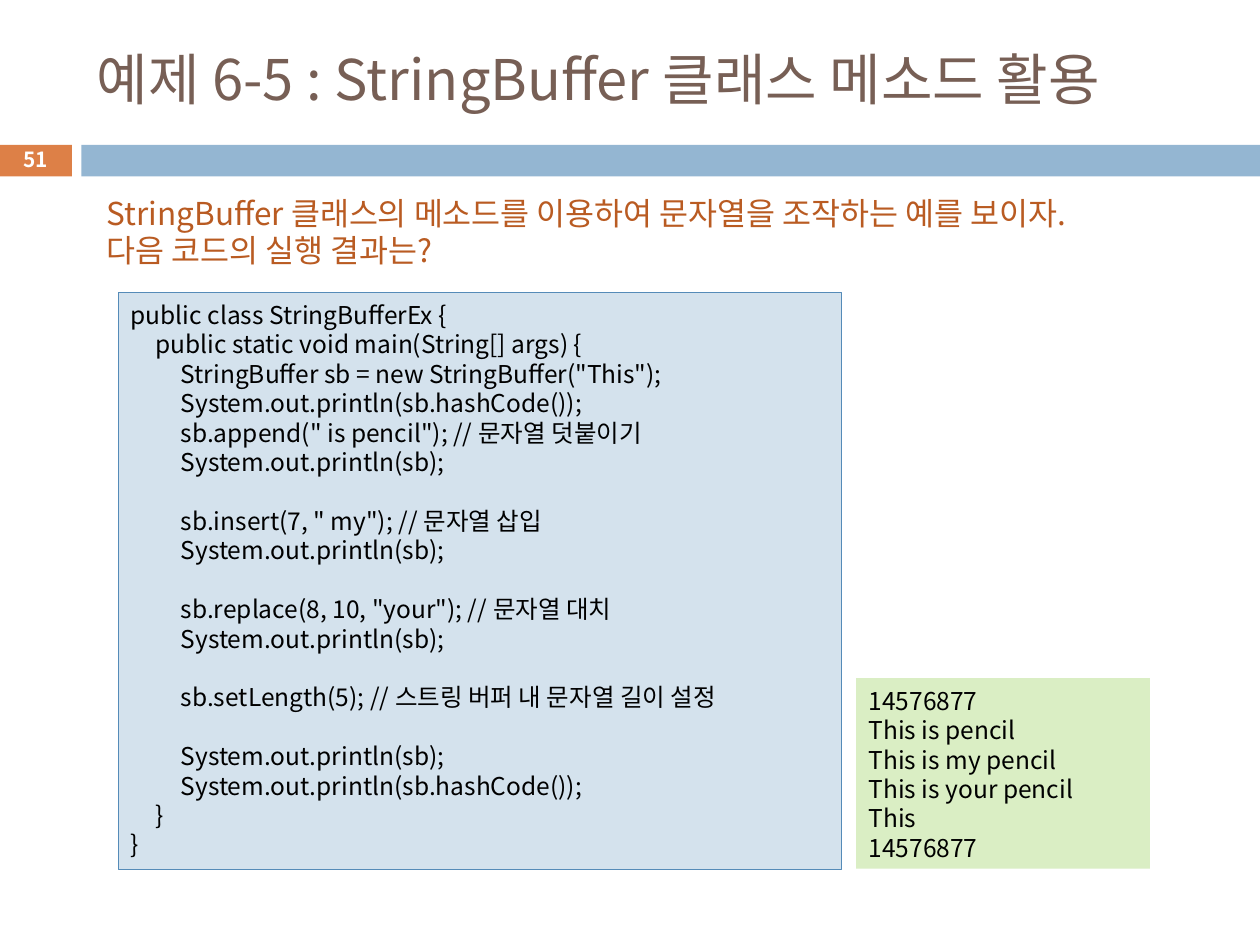
import pptx
import pptx.util
import pptx.dml.color
import pptx.enum.shapes
import pptx.enum.text
import pptx.oxml.ns
from lxml import etree

Pt = pptx.util.Pt
RECT = pptx.enum.shapes.MSO_SHAPE.RECTANGLE
ALIGN = pptx.enum.text.PP_ALIGN
ANCHOR = pptx.enum.text.MSO_ANCHOR
FONT = "Noto Sans CJK KR"
qn = pptx.oxml.ns.qn


def rgb(value):
    return pptx.dml.color.RGBColor.from_string(value)


def write(s, text, size, color="000000", bold=False, align=ALIGN.LEFT, anchor=ANCHOR.TOP,
          wrap=True, pitch=None, tab=None, side=7.2, top=3.6, bottom=3.6):
    tf = s.text_frame
    tf.word_wrap = wrap
    tf.vertical_anchor = anchor
    tf.margin_left = tf.margin_right = Pt(side)
    tf.margin_top, tf.margin_bottom = Pt(top), Pt(bottom)
    gap = 0
    p = tf.paragraphs[0]
    for i, line in enumerate(text.split("\n")):
        if not line:
            gap = pitch
            continue
        if i:
            p = tf.add_paragraph()
        p.alignment = align
        if pitch:
            p.line_spacing = Pt(pitch)
        p.space_before = Pt(gap)
        gap = 0
        if tab:
            tabs = etree.SubElement(p._p.get_or_add_pPr(), qn("a:tabLst"))
            for n in (1, 2):
                etree.SubElement(tabs, qn("a:tab"), pos=str(Pt(tab * n)), algn="l")
        r = p.add_run()
        r.text = line
        r.font.size, r.font.bold, r.font.name = Pt(size), bold, FONT
        r.font.color.rgb = rgb(color)
        etree.SubElement(r._r.get_or_add_rPr(), qn("a:ea"), typeface=FONT)


CODE = """public class StringBufferEx {
\tpublic static void main(String[] args) {
\t\tStringBuffer sb = new StringBuffer("This");
\t\tSystem.out.println(sb.hashCode());
\t\tsb.append(" is pencil"); // 문자열 덧붙이기
\t\tSystem.out.println(sb);

\t\tsb.insert(7, " my"); // 문자열 삽입
\t\tSystem.out.println(sb);

\t\tsb.replace(8, 10, "your"); // 문자열 대치
\t\tSystem.out.println(sb);

\t\tsb.setLength(5); // 스트링 버퍼 내 문자열 길이 설정

\t\tSystem.out.println(sb);
\t\tSystem.out.println(sb.hashCode());
\t}
}"""

OUTPUT = """14576877
This is pencil
This is my pencil
This is your pencil
This
14576877"""

QUESTION = """StringBuffer 클래스의 메소드를 이용하여 문자열을 조작하는 예를 보이자.
다음 코드의 실행 결과는?"""

prs = pptx.Presentation()
prs.slide_width, prs.slide_height = Pt(720), Pt(540)
slide = prs.slides.add_slide(prs.slide_layouts[6])

panels = [
    ((-0.5, 82.8, 41.6, 18), "DD8047", None, None),
    ((46.5, 82.8, 673.5, 18), "94B6D2", None, None),
    ((67.6, 167, 413.3, 329.8), "D4E2ED", "558BB8", CODE),
    ((489.3, 387.5, 167.8, 108.9), "DAEEC4", None, OUTPUT),
]
for box, fill, line, text in panels:
    s = slide.shapes.add_shape(RECT, *map(Pt, box))
    s.shadow.inherit = False
    s.fill.solid()
    s.fill.fore_color.rgb = rgb(fill)
    if line:
        s.line.color.rgb = rgb(line)
        s.line.width = Pt(0.75)
    else:
        s.line.fill.background()
    if text:
        write(s, text, 14, pitch=16.83, tab=14.3, top=4.4, bottom=0)

labels = [
    ((48.2, 18, 642.2, 53.3), "예제 6-5 : StringBuffer 클래스 메소드 활용",
     dict(size=32, color="775F55", anchor=ANCHOR.MIDDLE)),
    ((54, 105.8, 603.4, 51.1), QUESTION,
     dict(size=18, color="B95B22", wrap=False, pitch=21.4, top=5.1)),
    ((-0.5, 81.4, 41.6, 19.4), "51",
     dict(size=11.9, color="FFFFFF", bold=True, align=ALIGN.CENTER,
          anchor=ANCHOR.MIDDLE, side=0, top=0, bottom=0)),
]
for box, text, style in labels:
    s = slide.shapes.add_textbox(*map(Pt, box))
    write(s, text, **style)

prs.save("out.pptx")
